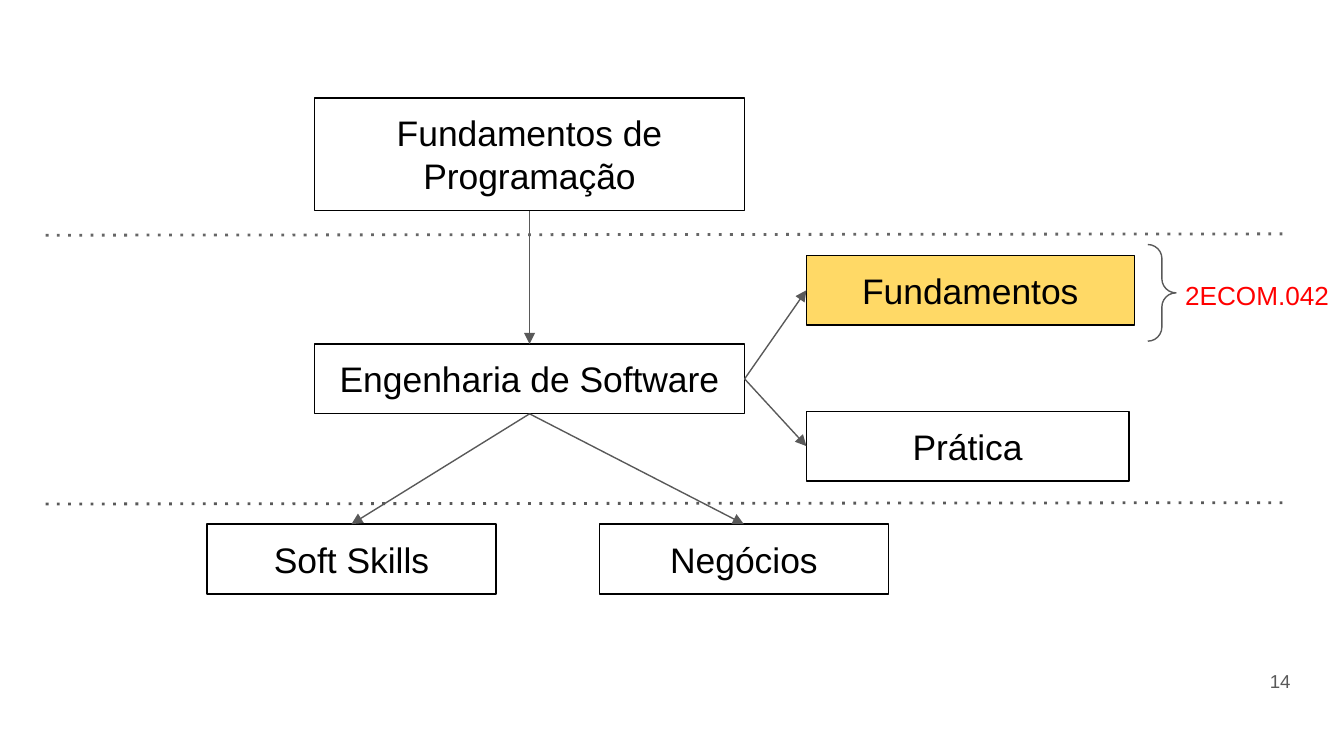
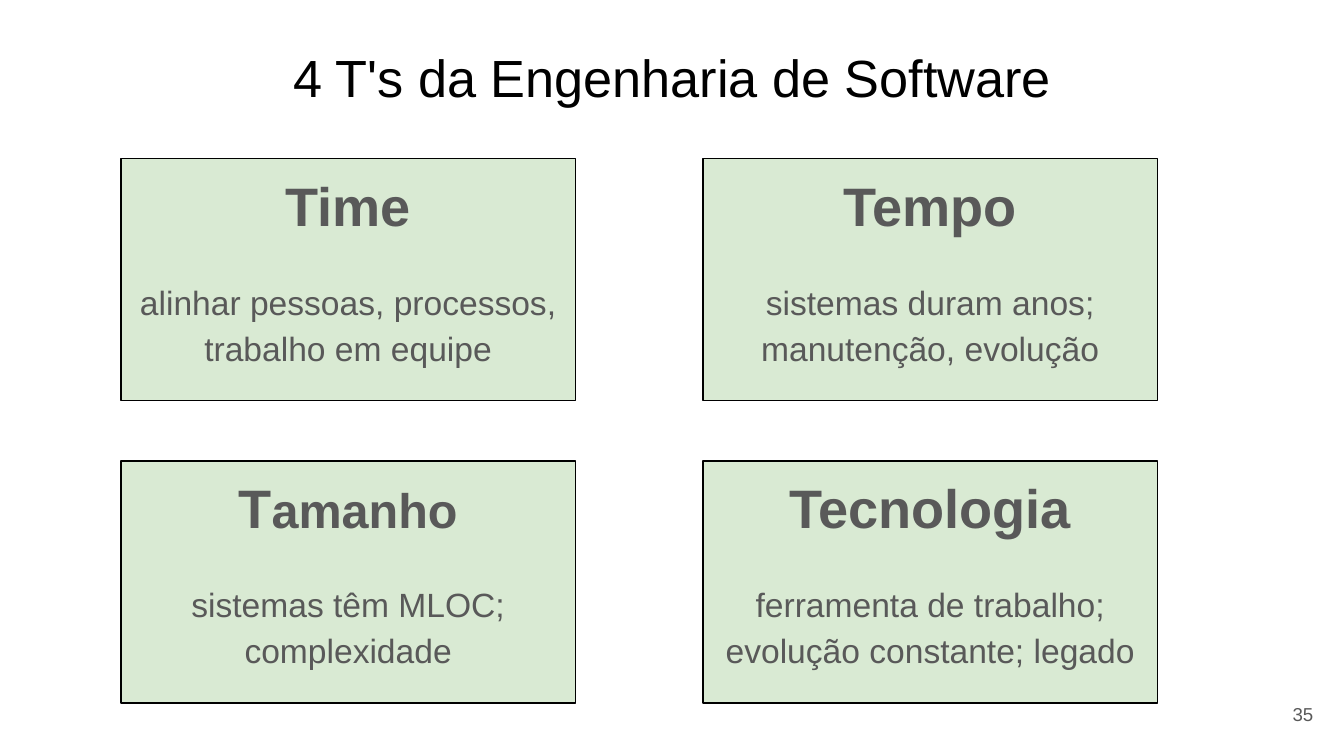
from lxml.etree import SubElement
from pptx import Presentation
from pptx.dml.color import RGBColor
from pptx.enum.shapes import MSO_CONNECTOR, MSO_SHAPE
from pptx.enum.text import MSO_ANCHOR, PP_ALIGN
from pptx.oxml.ns import qn
from pptx.util import Pt

# Shared look
WHITE = RGBColor(0xFF, 0xFF, 0xFF)
BLACK = RGBColor(0x00, 0x00, 0x00)
GRAY = RGBColor(0x59, 0x59, 0x59)
RULE_GRAY = RGBColor(0x66, 0x66, 0x66)
RED = RGBColor(0xFF, 0x00, 0x00)
YELLOW = RGBColor(0xFF, 0xD9, 0x66)
GREEN = RGBColor(0xD9, 0xEA, 0xD3)
FONT = "Arial"
INSET = Pt(7.2)
THIN = 0.75
SLIDE_W, SLIDE_H = 720, 405


def add_run(p, text, size, color, bold=False):
    r = p.add_run()
    r.text = text
    for name, value in {"name": FONT, "size": Pt(size), "bold": bold}.items():
        setattr(r.font, name, value)
    r.font.color.rgb = color


def setup_frame(s, anchor=MSO_ANCHOR.TOP, wrap=True):
    tf = s.text_frame
    settings = {"margin_left": INSET, "margin_right": INSET, "margin_top": INSET,
                "margin_bottom": INSET, "word_wrap": wrap, "vertical_anchor": anchor}
    for name, value in settings.items():
        setattr(tf, name, value)
    return tf


def add_label(slide, box, text, size, color, align,
              anchor=MSO_ANCHOR.TOP, wrap=True):
    s = slide.shapes.add_textbox(*map(Pt, box))
    p = setup_frame(s, anchor, wrap).paragraphs[0]
    p.alignment = align
    add_run(p, text, size, color)


def add_outline(slide, kind, box, line, fill=None):
    s = slide.shapes.add_shape(kind, *map(Pt, box))
    s.shadow.inherit = False
    if fill is None:
        s.fill.background()
    else:
        s.fill.solid()
        s.fill.fore_color.rgb = fill
    s.line.color.rgb = line
    s.line.width = Pt(THIN)
    return s


def add_line(slide, ends, color, width, **detail):
    """Straight line; detail maps an XML tag to its attributes."""
    s = slide.shapes.add_connector(MSO_CONNECTOR.STRAIGHT, *map(Pt, ends))
    s.line.color.rgb = color
    s.line.width = Pt(width)
    ln = s.line._get_or_add_ln()
    for tag, attributes in detail.items():
        SubElement(ln, qn("a:" + tag), attributes)
    SubElement(s._element.spPr, qn("a:effectLst"))
    return s


def add_page_number(slide, x, y, number):
    add_label(slide, (x, y, 43.2, 31), number, 10, GRAY,
              PP_ALIGN.RIGHT, MSO_ANCHOR.MIDDLE)


def new_slide(prs):
    slide = prs.slides.add_slide(prs.slide_layouts[6])
    slide.background.fill.solid()
    slide.background.fill.fore_color.rgb = WHITE
    return slide


# Course map: boxes, arrows, dividers and the course code
TOP, LEFT, BOTTOM, RIGHT = range(4)
ROW_H = 37.4
COURSES = {  # name: (x, y, width, height, fill)
    "Fundamentos de Programação": (144, 0, 230.4, 60.5, None),
    "Engenharia de Software": (144, 131.8, 230.4, ROW_H, None),
    "Fundamentos": (407.5, 84.3, 175.7, ROW_H, YELLOW),
    "Prática": (407.5, 167.8, 172.8, ROW_H, None),
    "Soft Skills": (86.4, 228.3, 154.8, ROW_H, None),
    "Negócios": (296.6, 228.3, 154.8, ROW_H, None),
}
ARROWS = [
    ("Fundamentos de Programação", BOTTOM, "Engenharia de Software", TOP),
    ("Engenharia de Software", RIGHT, "Fundamentos", LEFT),
    ("Engenharia de Software", RIGHT, "Prática", LEFT),
    ("Engenharia de Software", BOTTOM, "Soft Skills", TOP),
    ("Engenharia de Software", BOTTOM, "Negócios", TOP),
]


def add_course_map(slide, x, y, w):
    # Course boxes
    boxes = {}
    for name, (dx, dy, bw, bh, fill) in COURSES.items():
        s = add_outline(slide, MSO_SHAPE.RECTANGLE, (x + dx, y + dy, bw, bh), BLACK, fill)
        p = setup_frame(s).paragraphs[0]
        p.alignment = PP_ALIGN.CENTER
        add_run(p, name, 19, BLACK)
        boxes[name] = s

    # Arrows between boxes
    for start, start_side, end, end_side in ARROWS:
        s = add_line(slide, (0, 0, 0, 0), GRAY, THIN, tailEnd={"type": "triangle"})
        s.begin_connect(boxes[start], start_side)
        s.end_connect(boxes[end], end_side)

    # Dotted dividers
    for dy, color in ((73.5, RULE_GRAY), (217.5, GRAY)):
        add_line(slide, (x, y + dy, x + w, y + dy - 0.7), color, 1.5,
                 prstDash={"val": "dot"})

    # Course code with its brace
    add_label(slide, (x + 603.3, y + 90.1, 92, 31.7), "2ECOM.042", 14, RED,
              PP_ALIGN.LEFT, wrap=False)
    brace = add_outline(slide, MSO_SHAPE.RIGHT_BRACE,
                        (x + 590.4, y + 78.5, 15.1, 51.8), GRAY)
    for i in range(2):
        brace.adjustments[i] = 0.5


# Cards: heading runs as (text, size), then the description
CARDS = [
    ([("Time", 29)], "alinhar pessoas, processos, trabalho em equipe"),
    ([("Tempo", 29)], "sistemas duram anos; manutenção, evolução"),
    ([("T", 29), ("amanho", 26)], "sistemas têm MLOC; complexidade"),
    ([("Tecnologia", 29)], "ferramenta de trabalho; evolução constante; legado"),
]


def add_card(slide, box, heading, description):
    s = add_outline(slide, MSO_SHAPE.RECTANGLE, box, BLACK, GREEN)
    tf = setup_frame(s)
    p = tf.paragraphs[0]
    p.alignment = PP_ALIGN.CENTER
    for text, size in heading:
        add_run(p, text, size, GRAY, bold=True)
    p = tf.add_paragraph()
    layout = {"alignment": PP_ALIGN.CENTER, "line_spacing": 1.14,
              "space_before": Pt(21), "space_after": Pt(10)}
    for name, value in layout.items():
        setattr(p, name, value)
    add_run(p, description, 18, GRAY)


def add_card_grid(slide, x, y, w, h, gap_x=68.4, gap_y=32.4):
    card_w, card_h = (w - gap_x) / 2, (h - gap_y) / 2
    for i, (heading, description) in enumerate(CARDS):
        row, col = divmod(i, 2)
        box = (x + col * (card_w + gap_x), y + row * (card_h + gap_y), card_w, card_h)
        add_card(slide, box, heading, description)


def main():
    prs = Presentation()
    prs.slide_width, prs.slide_height = Pt(SLIDE_W), Pt(SLIDE_H)

    slide = new_slide(prs)
    add_course_map(slide, 24.5, 52.5, 664.5)
    add_page_number(slide, 655.2, 349.2, "14")

    slide = new_slide(prs)
    add_label(slide, (24.5, 17.3, 671, 45.4), "4 T's da Engenharia de Software",
              28, BLACK, PP_ALIGN.CENTER)
    add_card_grid(slide, 64.8, 85, 555.2, 291.6)
    add_page_number(slide, 667.4, 367.2, "35")

    prs.save("out.pptx")


if __name__ == "__main__":
    main()
